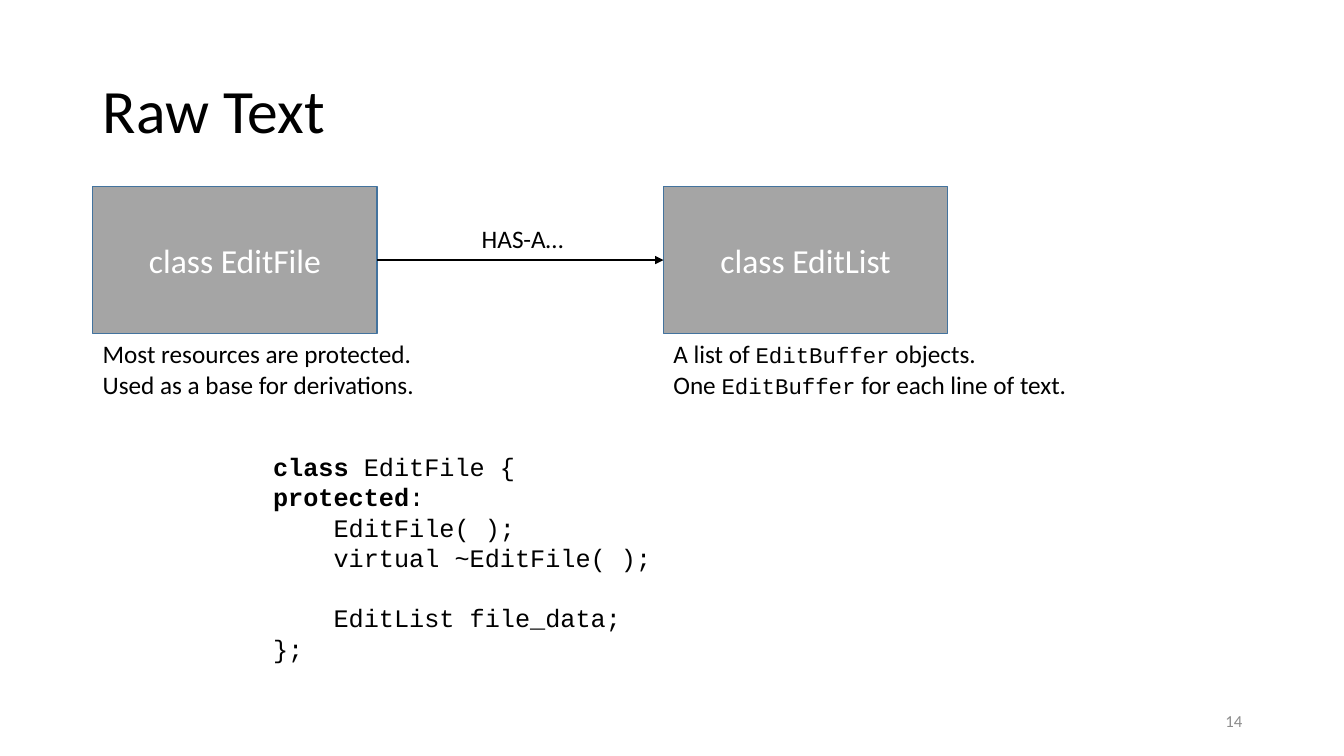
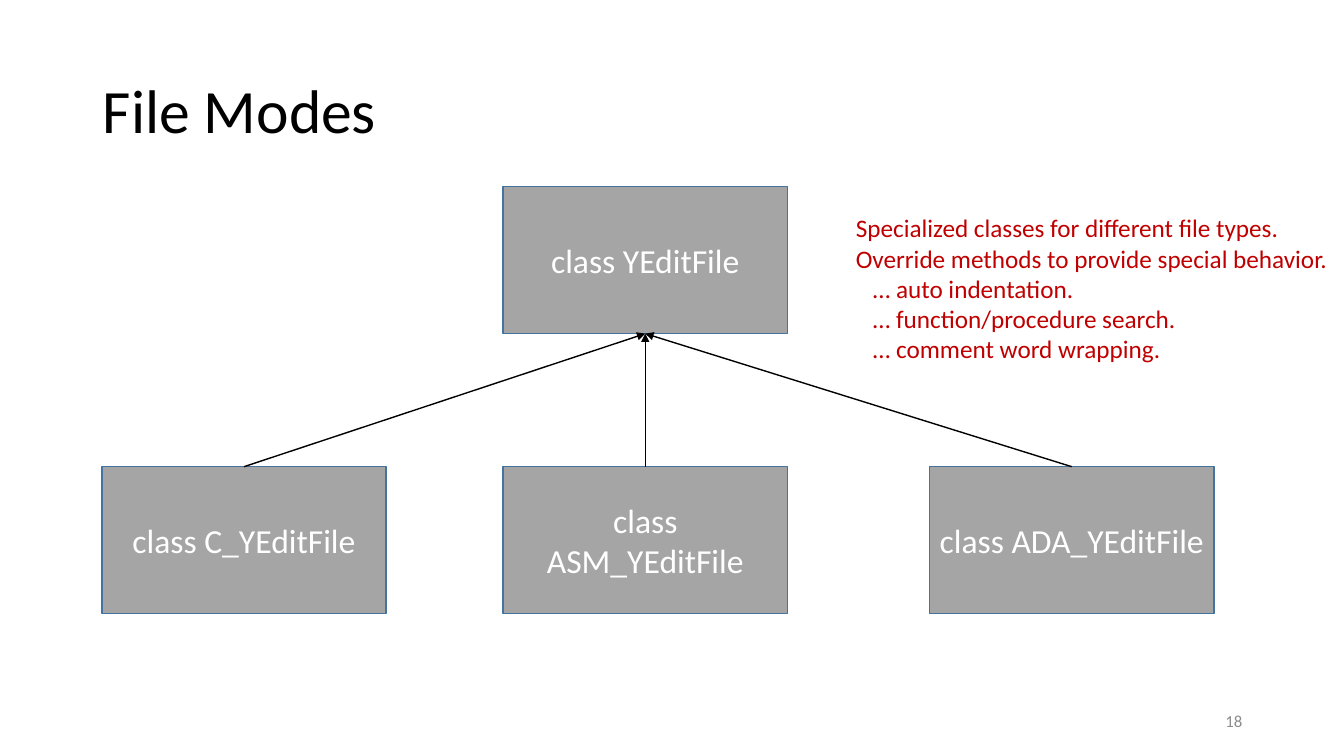
from pptx import Presentation
from pptx.dml.color import RGBColor
from pptx.enum.shapes import MSO_CONNECTOR, MSO_SHAPE
from pptx.enum.text import MSO_ANCHOR, PP_ALIGN
from pptx.oxml.ns import qn
from pptx.util import Inches, Pt
from lxml.etree import SubElement

TOP, LEFT, BOTTOM, RIGHT = range(4)


def rgb(value):
    return RGBColor.from_string(value)


class Deck:
    BLACK, WHITE, RED = "000000", "FFFFFF", "C00000"
    GRAY, BLUE, MUTED = "A5A5A5", "43739E", "8C8C8C"
    TITLE = {"size": Pt(44), "name": "Calibri"}
    LABEL = {"size": Pt(24), "name": "Calibri"}
    BODY = {"size": Pt(18), "name": "Calibri"}
    NUMBER = {"size": Pt(12), "name": "Calibri"}
    INLINE = {"size": Pt(16), "name": "Courier New"}
    CODE = {"size": Pt(18), "name": "Courier New"}
    KEYWORD = {**CODE, "bold": True}
    BOX_W, BOX_H = 2.82, 1.46

    def __init__(self):
        self.prs = Presentation()
        self.prs.slide_width = Inches(13.33)
        self.prs.slide_height = Inches(7.5)
        self.s = None

    def slide(self, title, number):
        self.s = self.prs.slides.add_slide(self.prs.slide_layouts[5])
        sp = self.s.shapes.title
        place = {"left": 0.92, "top": 0.4, "width": 11.5, "height": 1.45}
        for key, value in place.items():
            setattr(sp, key, Inches(value))
        sp.text_frame.vertical_anchor = MSO_ANCHOR.MIDDLE
        p = sp.text_frame.paragraphs[0]
        self.fill(p, [(title, self.TITLE)], self.BLACK, alignment=PP_ALIGN.LEFT, line_spacing=0.9)
        tf = self.text(9.42, 6.95, 3, 0.4, [[(number, self.NUMBER)]], self.MUTED, alignment=PP_ALIGN.RIGHT)
        tf.vertical_anchor = MSO_ANCHOR.MIDDLE

    def fill(self, p, runs, color, indent=0, **layout):
        for key, value in layout.items():
            setattr(p, key, value)
        if indent:
            p._p.get_or_add_pPr().set("marL", str(Inches(indent)))
        for text, style in runs:
            r = p.add_run()
            r.text = text
            r.font.color.rgb = rgb(color)
            for key, value in style.items():
                setattr(r.font, key, value)

    def text(self, x, y, w, h, lines, color=BLACK, indents=None, **layout):
        sp = self.s.shapes.add_textbox(*map(Inches, (x, y, w, h)))
        tf = sp.text_frame
        tf.word_wrap = True
        for i, runs in enumerate(lines):
            p = tf.add_paragraph() if i else tf.paragraphs[0]
            self.fill(p, runs, color, (indents or {}).get(i, 0), **layout)
        return tf

    def box(self, x, y, label):
        sp = self.s.shapes.add_shape(MSO_SHAPE.RECTANGLE, *map(Inches, (x, y, self.BOX_W, self.BOX_H)))
        sp.shadow.inherit = False
        sp.fill.solid()
        sp.fill.fore_color.rgb = rgb(self.GRAY)
        sp.line.color.rgb = rgb(self.BLUE)
        sp.line.width = Pt(1)
        self.fill(sp.text_frame.paragraphs[0], [(label, self.LABEL)], self.WHITE, alignment=PP_ALIGN.CENTER)
        return sp

    def arrow(self, source, source_side, target, target_side):
        line = self.s.shapes.add_connector(MSO_CONNECTOR.STRAIGHT, 0, 0, 0, 0)
        line.begin_connect(source, source_side)
        line.end_connect(target, target_side)
        line.line.color.rgb = rgb(self.BLACK)
        line.line.width = Pt(1)
        SubElement(line.line._get_or_add_ln(), qn("a:tailEnd"), type="triangle")
        SubElement(line._element.spPr, qn("a:effectLst"))


def raw_text(deck):
    body, code, inline, keyword = deck.BODY, deck.CODE, deck.INLINE, deck.KEYWORD
    deck.slide("Raw Text", "14")
    edit_list = deck.box(6.58, 1.85, "class EditList")
    edit_file = deck.box(0.92, 1.85, "class EditFile")
    deck.arrow(edit_file, RIGHT, edit_list, LEFT)
    deck.text(4.68, 2.17, 1.2, 0.4, [[("HAS-A…", body)]])
    deck.text(6.58, 3.31, 4.25, 0.71, [
        [("A list of ", body), ("EditBuffer", inline), (" objects.", body)],
        [("One ", body), ("EditBuffer", inline), (" for each line of text.", body)],
    ])
    deck.text(0.92, 3.31, 3.5, 0.71, [
        [("Most resources are protected.", body)],
        [("Used as a base for derivations.", body)],
    ])
    tf = deck.text(2.61, 4.43, 4.2, 2.52, [
        [("class ", keyword), ("EditFile {", code)],
        [("protected", keyword), (":", code)],
        [("EditFile( );", code)],
        [("virtual ~EditFile( );", code)],
        [("EditList file_data;", code)],
        [("};", code)],
    ], indents=dict.fromkeys((2, 3, 4), 0.6), line_spacing=Pt(21.6))
    tf.paragraphs[4].space_before = Pt(21.6)


def file_modes(deck):
    deck.slide("File Modes", "18")
    base = deck.box(4.99, 1.85, "class YEditFile")
    for x, language in ((1.01, "C"), (4.99, "ASM"), (9.22, "ADA")):
        mode = deck.box(x, 4.63, f"class {language}_YEditFile")
        deck.arrow(mode, TOP, base, BOTTOM)
    notes = (
        "Specialized classes for different file types.",
        "Override methods to provide special behavior.",
        "… auto indentation.",
        "… function/procedure search.",
        "… comment word wrapping.",
    )
    deck.text(8.39, 2.06, 4.94, 1.62, [[(note, deck.BODY)] for note in notes],
              deck.RED, dict.fromkeys((2, 3, 4), 0.17))


def main():
    deck = Deck()
    raw_text(deck)
    file_modes(deck)
    deck.prs.save("out.pptx")


if __name__ == "__main__":
    main()
